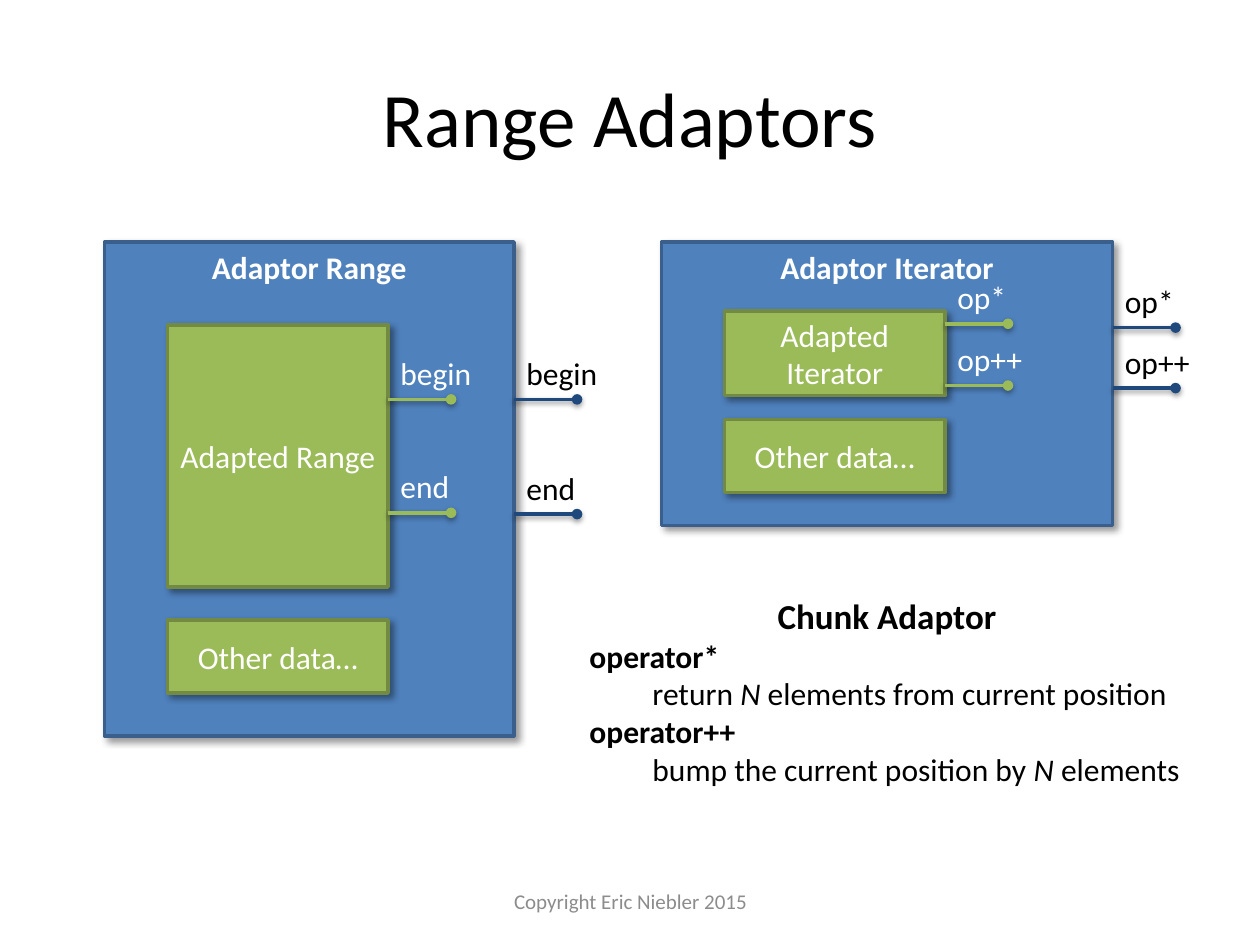
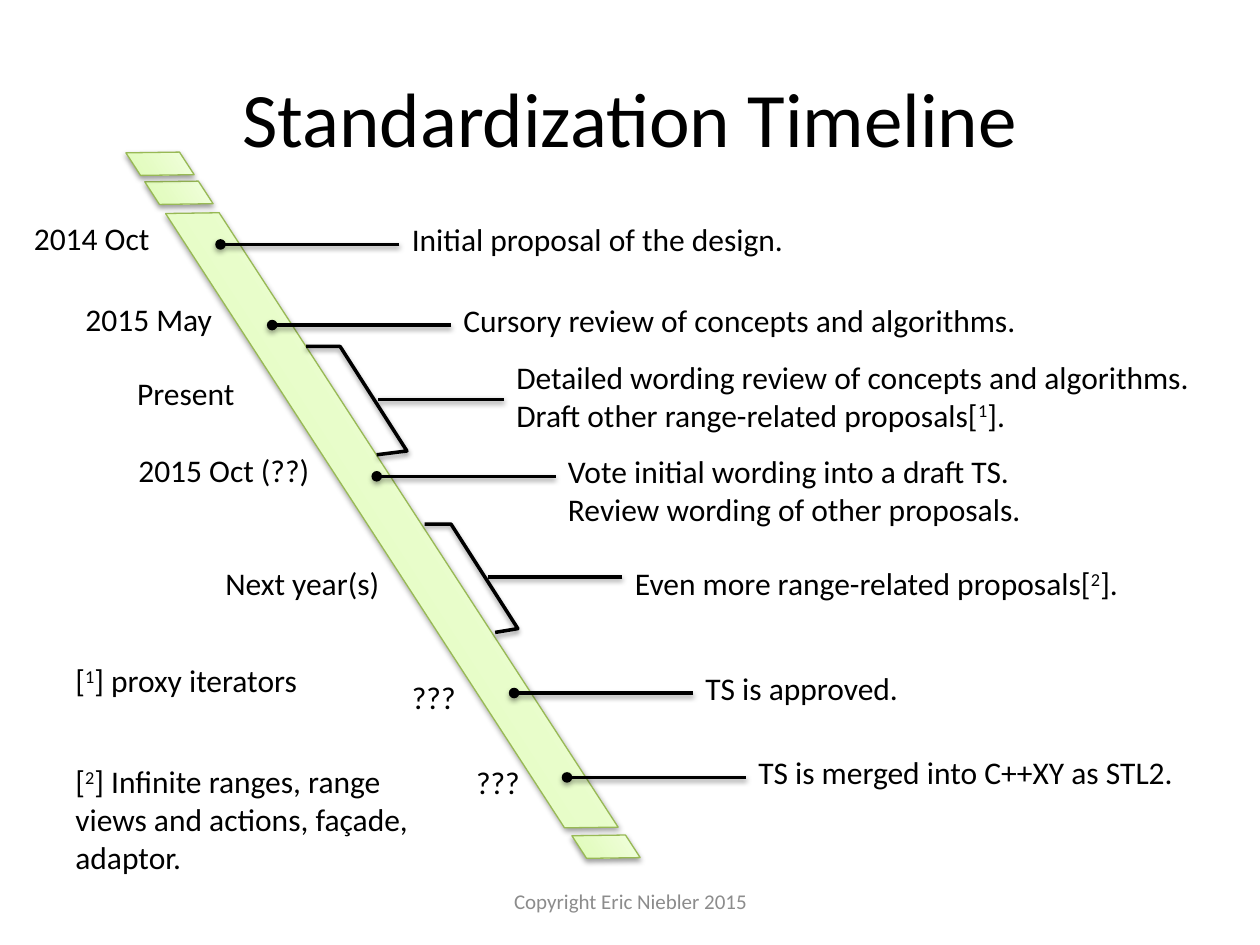
"""Build two slides: range adaptors and a standardization timeline."""
from copy import deepcopy

from lxml import etree
from pptx import Presentation
from pptx.dml.color import RGBColor
from pptx.enum.shapes import MSO_CONNECTOR, MSO_SHAPE
from pptx.enum.text import MSO_ANCHOR, PP_ALIGN
from pptx.oxml.ns import qn
from pptx.util import Pt

PX = 9144
FONT = "Calibri"
RECT = MSO_SHAPE.RECTANGLE
SLANT = MSO_SHAPE.PARALLELOGRAM
STRAIGHT = MSO_CONNECTOR.STRAIGHT
TOP, MIDDLE = MSO_ANCHOR.TOP, MSO_ANCHOR.MIDDLE
LEFT, CENTER = PP_ALIGN.LEFT, PP_ALIGN.CENTER
HEX = {
    "black": "000000", "white": "FFFFFF", "gray": "8C8C8C",
    "blue": "4F81BD", "rim": "3A5F8C", "navy": "1F497D",
    "green": "9BBB59", "moss": "738A42", "leaf": "98B955",
    "mint": "DAFDA7", "lime": "E4FCC2", "pale": "F5FFE7",
}
BAND = [(0, "mint"), (0.35, "lime"), (1, "pale")]
DEEP = (40, 4, 3, 45)
SOFT = (38, 3.1, 1.6, 90)


def rgb(name):
    return RGBColor.from_string(HEX[name])


def emu(*px):
    return [round(n * PX) for n in px]


def shade(shape, look):
    """Give a shape or connector an outer shadow."""
    alpha, blur, dist, angle = look
    props = shape._element.spPr
    for old in props.findall(qn("a:effectLst")):
        props.remove(old)
    effects = etree.SubElement(props, qn("a:effectLst"))
    outer = etree.SubElement(effects, qn("a:outerShdw"), blurRad=str(Pt(blur)),
                             dist=str(Pt(dist)), dir=str(angle * 60000),
                             rotWithShape="0")
    color = etree.SubElement(outer, qn("a:srgbClr"), val=HEX["black"])
    etree.SubElement(color, qn("a:alpha"), val=str(alpha * 1000))


def style(para, size, color, bold=False, align=LEFT):
    para.alignment = align
    font = para.font
    font.name, font.size, font.bold = FONT, Pt(size), bold
    font.color.rgb = rgb(color)


def fill_para(para, parts):
    """Add runs; a leading ^ raises a part and a leading _ slants it."""
    for part in [parts] if isinstance(parts, str) else parts:
        run = para.add_run()
        run.text = part.lstrip("^_")
        if part.startswith("^"):
            run.font._element.set("baseline", "30000")
        elif part.startswith("_"):
            run.font.italic = True


def add_text(slide, box, *lines, size=18, color="black", align=LEFT, anchor=TOP):
    """Add a text box with one paragraph for each line."""
    frame = slide.shapes.add_textbox(*emu(*box)).text_frame
    frame.word_wrap = True
    frame.vertical_anchor = anchor
    for i, parts in enumerate(lines):
        para = frame.add_paragraph() if i else frame.paragraphs[0]
        fill_para(para, parts)
        style(para, size, color, align=align)
    return frame


def add_box(slide, box, text, fill="green", rim="moss", bold=False, anchor=MIDDLE):
    """Add a filled box with a centred label."""
    shape = slide.shapes.add_shape(RECT, *emu(*box))
    shape.fill.solid()
    shape.fill.fore_color.rgb = rgb(fill)
    shape.line.color.rgb = rgb(rim)
    shape.line.width = Pt(2)
    shade(shape, DEEP)
    frame = shape.text_frame
    frame.vertical_anchor = anchor
    frame.text = text
    style(frame.paragraphs[0], 18, "white", bold, CENTER)


def add_frame(slide, box, text):
    add_box(slide, box, text, "blue", "rim", True, TOP)


def add_line(slide, start, end, y, color="black", dot=True):
    """Add a level line, with a dot at its end if wanted."""
    line = slide.shapes.add_connector(STRAIGHT, *emu(start, y, end, y))
    line.line.color.rgb = rgb(color)
    line.line.width = Pt(2)
    if dot:
        edge = line._element.spPr.find(qn("a:ln"))
        etree.SubElement(edge, qn("a:tailEnd"), type="oval")
    shade(line, SOFT)


def add_pin(slide, x, y, text, line, color):
    """Add a short line that ends in a dot, with its label above."""
    add_line(slide, x, x + 50, y, line)
    add_text(slide, (x, y - 41, 83, 40), text, color=color)


def add_band(slide, x, y, wide):
    """Add a piece of the slanted time band."""
    shape = slide.shapes.add_shape(SLANT, *emu(x, y, wide, 36))
    shape.rotation = 57
    shape.adjustments[0] = 0.63
    fill = shape.fill
    fill.gradient()
    fill.gradient_angle = 90
    stops = shape._element.spPr.find(".//" + qn("a:gsLst"))
    stops.append(deepcopy(stops[-1]))
    for stop, (place, color) in zip(fill.gradient_stops, BAND):
        stop.position = place
        stop.color.rgb = rgb(color)
    shape.line.color.rgb = rgb("leaf")
    shape.line.width = Pt(0.75)
    shade(shape, SOFT)


def add_brace(slide, x, y, wide):
    """Add an open bracket that follows the slant of the band."""
    path = slide.shapes.build_freeform(x, y, scale=PX)
    path.add_line_segments([(x + wide, y), (x + wide + 53, y + 83),
                            (x + 56, y + 86)], close=False)
    shape = path.convert_to_shape()
    shape.fill.background()
    shape.line.color.rgb = rgb("black")
    shape.line.width = Pt(2)
    shade(shape, SOFT)


def add_page(deck, title):
    """Add a slide with the shared title and footer."""
    slide = deck.slides.add_slide(deck.slide_layouts[5])
    head = slide.shapes.title
    head.left, head.top, head.width, head.height = emu(50, 30, 900, 125)
    head.text_frame.text = title
    head.text_frame.vertical_anchor = MIDDLE
    style(head.text_frame.paragraphs[0], 44, "black", align=CENTER)
    add_text(slide, (342, 695, 317, 40), "Copyright Eric Niebler 2015",
             size=12, color="gray", align=CENTER, anchor=MIDDLE)
    return slide


def draw_ranges(deck):
    slide = add_page(deck, "Range Adaptors")
    add_frame(slide, (83, 192, 325, 392), "Adaptor Range")
    add_box(slide, (133, 258, 175, 208), "Adapted Range")
    add_frame(slide, (525, 192, 358, 225), "Adaptor Iterator")
    add_box(slide, (575, 247, 175, 67), "Adapted Iterator")
    for x, y in [(133, 492), (575, 333)]:
        add_box(slide, (x, y, 175, 58), "Other data…")

    pins = [(308, 408, 317, 317, "begin"), (308, 408, 407, 408, "end"),
            (750, 883, 257, 260, "op*"), (750, 883, 306, 308, "op++")]
    for inner, outer, low, high, text in pins:
        add_pin(slide, inner, low, text, "green", "white")
        add_pin(slide, outer, high, text, "navy", "black")

    frame = add_text(
        slide, (458, 467, 492, 165), "Chunk Adaptor", "operator*",
        ["return ", "_N", " elements from current position"], "operator++",
        ["bump the current position by ", "_N", " elements"])
    head, *rest = frame.paragraphs
    style(head, 20, "black", True, CENTER)
    for name, note in zip(rest[::2], rest[1::2]):
        name.font.bold = True
        note.level = 1
        note._p.get_or_add_pPr().set("marL", str(50 * PX))


def draw_times(deck):
    slide = add_page(deck, "Standardization Timeline")
    for x, y, wide in [(9, 395, 604), (120, 135, 44), (105, 112, 44),
                       (459, 654, 44)]:
        add_band(slide, x, y, wide)

    events = [
        (317, 194, 375, ["Initial proposal of the design."],
         (17, 169, 115, 40), "2014 Oct"),
        (358, 258, 483, ["Cursory review of concepts and algorithms."],
         (58, 233, 142, 40), "2015 May"),
        (441, 378, 483, ["Vote initial wording into a draft TS.",
                         "Review wording of other proposals."],
         (100, 353, 156, 40), "2015 Oct (??)"),
        (550, 550, 208, ["TS is approved."], (317, 533, 75, 40), "???"),
        (592, 617, 358, ["TS is merged into C++XY as STL2."],
         (368, 601, 65, 40), "???"),
    ]
    for x, y, wide, lines, box, date in events:
        add_line(slide, x, x - 142, y)
        add_text(slide, (x, y - 24, wide, 40), *lines)
        add_text(slide, box, date)

    spans = [
        ((243, 275, 27), (400, 300, 317), (400, 279, 567, 71),
         ["Detailed wording review of concepts and algorithms.",
          ["Draft other range-related proposals[", "^1", "]."]],
         (99, 292, 142, 40), "Present"),
        ((337, 416, 21), (494, 387, 458), (494, 443, 439, 40),
         [["Even more range-related proposals[", "^2", "]."]],
         (169, 443, 148, 40), "Next year(s)"),
    ]
    for brace, stem, area, lines, box, date in spans:
        add_brace(slide, *brace)
        add_line(slide, *stem, dot=False)
        add_text(slide, area, *lines)
        add_text(slide, box, date)

    add_text(slide, (50, 520, 250, 40), ["[", "^1", "] proxy iterators"])
    add_text(slide, (50, 600, 292, 101),
             ["[", "^2", "] Infinite ranges, range views and actions, façade, adaptor."])


def main():
    deck = Presentation()
    deck.slide_width, deck.slide_height = emu(1000, 750)
    draw_ranges(deck)
    draw_times(deck)
    deck.save("out.pptx")


if __name__ == "__main__":
    main()
